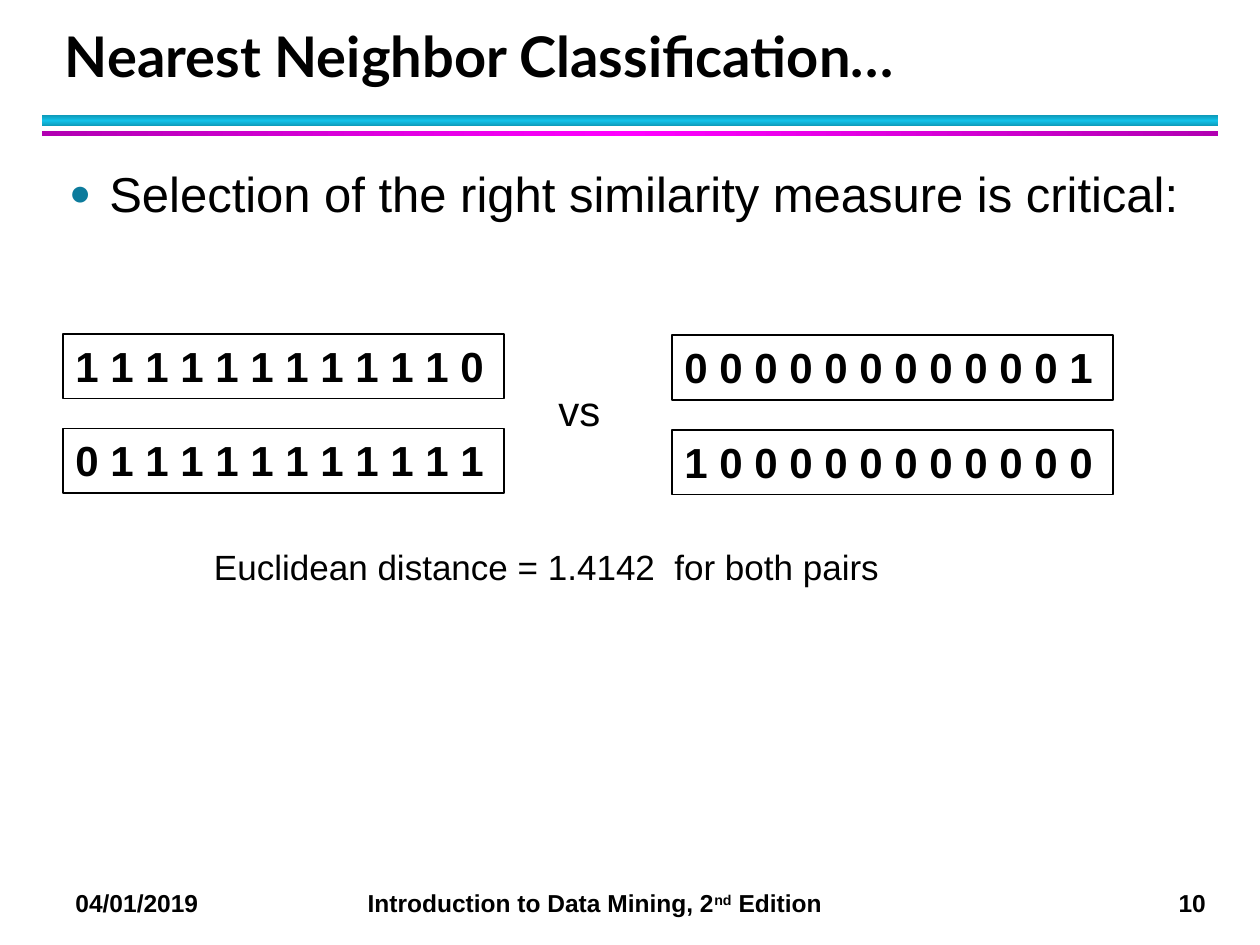
"""Build the nearest neighbor similarity slide."""
from dataclasses import dataclass

from lxml.etree import SubElement
from pptx import Presentation
from pptx.dml.color import RGBColor
from pptx.enum.shapes import MSO_SHAPE as Shape
from pptx.enum.text import MSO_ANCHOR as Anchor
from pptx.oxml.ns import qn
from pptx.util import Pt

COLORS = {
    "text": "000000",
    "bullet": "0C7B9C",
    "cyan_edge": "0E9BBA",
    "cyan": "12C2E9",
    "magenta_edge": "B200B2",
    "magenta": "FF00FF",
}


@dataclass(frozen=True)
class Label:
    text: str
    left: float
    top: float
    width: float
    height: float
    size: float
    bold: bool = False
    font: str = "Arial"
    framed: bool = False


@dataclass(frozen=True)
class Band:
    top: float
    height: float
    edge: str
    middle: str
    angle: int


TITLE = Label("Nearest Neighbor Classification…", 30, 12, 652, 42, 32, True, "Lato")
BODY = Label("Selection of the right similarity measure is critical:", 32.4, 90, 655, 408, 28)
FOOTER = Label("04/01/2019\tIntroduction to Data Mining, 2", 36, 504, 672, 24.5, 14, True)
NOTES = (
    Label("vs", 312, 216, 44, 48, 24),
    Label("Euclidean distance = 1.4142  for both pairs", 115.2, 308.2, 438, 31.5, 20),
)
BANDS = (
    Band(66, 6, "cyan_edge", "cyan", 90),
    Band(75, 2.8, "magenta_edge", "magenta", 0),
)
VECTOR_PAIRS = (
    (36, 190.8, ("1 1 1 1 1 1 1 1 1 1 1 0", "0 1 1 1 1 1 1 1 1 1 1 1")),
    (384, 191.6, ("0 0 0 0 0 0 0 0 0 0 0 1", "1 0 0 0 0 0 0 0 0 0 0 0")),
)
VECTOR_STEP = 54


def color(name: str) -> RGBColor:
    """Return a named colour."""
    return RGBColor.from_string(COLORS[name])


def style(span, label: Label) -> None:
    """Give a run the font of its label."""
    span.font.name = label.font
    span.font.size = Pt(label.size)
    span.font.bold = label.bold
    span.font.color.rgb = color("text")


def add_label(page, label: Label):
    """Draw a label and return its box."""
    place = [Pt(n) for n in (label.left, label.top, label.width, label.height)]
    if label.framed:
        box = page.shapes.add_shape(Shape.RECTANGLE, *place)
        box.shadow.inherit = False
        box.fill.background()
        box.line.color.rgb = color("text")
        box.line.width = Pt(1)
    else:
        box = page.shapes.add_textbox(*place)
    frame = box.text_frame
    frame.text = label.text
    frame.word_wrap = True
    frame.vertical_anchor = Anchor.TOP
    para = frame.paragraphs[0]
    para.alignment = 1
    para.space_before = Pt(label.size / 10)
    for span in para.runs:
        style(span, label)
    return box


def add_band(page, band: Band) -> None:
    """Draw a gradient rule under the title."""
    bar = page.shapes.add_shape(Shape.RECTANGLE, Pt(24), Pt(band.top), Pt(672), Pt(band.height))
    bar.shadow.inherit = False
    bar.line.fill.background()
    bar.fill.gradient()
    bar.fill.gradient_angle = band.angle
    stops = bar.fill._fill._gradFill.find(qn("a:gsLst"))
    for stop in list(stops):
        stops.remove(stop)
    for position, name in ((0, band.edge), (50, band.middle), (100, band.edge)):
        stop = SubElement(stops, qn("a:gs"), pos=str(position * 1000))
        SubElement(stop, qn("a:srgbClr"), val=COLORS[name])


def add_title(page) -> None:
    """Draw the title on the lower edge of its box."""
    frame = add_label(page, TITLE).text_frame
    frame.vertical_anchor = Anchor.BOTTOM
    frame.paragraphs[0].space_before = Pt(0)
    frame.paragraphs[0].line_spacing = Pt(36)


def add_body(page) -> None:
    """Draw the bulleted statement."""
    para = add_label(page, BODY).text_frame.paragraphs[0]
    para.space_after = Pt(4)
    props = para._p.get_or_add_pPr()
    props.set("marL", str(Pt(23)))
    props.set("indent", str(-Pt(23)))
    tint = SubElement(props, qn("a:buClr"))
    SubElement(tint, qn("a:srgbClr"), val=COLORS["bullet"])
    SubElement(props, qn("a:buSzPct"), val="75000")
    SubElement(props, qn("a:buFont"), typeface="Arial")
    SubElement(props, qn("a:buChar"), char="●")


def add_footer(page) -> None:
    """Draw date, book and page number on tab stops."""
    para = add_label(page, FOOTER).text_frame.paragraphs[0]
    for text, baseline in (("nd", "30000"), (" Edition\t10", "0")):
        span = para.add_run()
        span.text = text
        style(span, FOOTER)
        span.font._element.set("baseline", baseline)
    tabs = SubElement(para._p.get_or_add_pPr(), qn("a:tabLst"))
    for position, side in ((167, "l"), (646, "r")):
        SubElement(tabs, qn("a:tab"), pos=str(Pt(position)), algn=side)


def main() -> None:
    """Build and save the deck."""
    deck = Presentation()
    deck.slide_width, deck.slide_height = Pt(720), Pt(540)
    page = deck.slides.add_slide(deck.slide_layouts[6])
    for band in BANDS:
        add_band(page, band)
    add_footer(page)
    add_title(page)
    add_body(page)
    for left, top, vectors in VECTOR_PAIRS:
        for row, vector in enumerate(vectors):
            add_label(page, Label(vector, left, top + row * VECTOR_STEP, 252, 37, 24, True, framed=True))
    for note in NOTES:
        add_label(page, note)
    deck.save("out.pptx")


if __name__ == "__main__":
    main()
